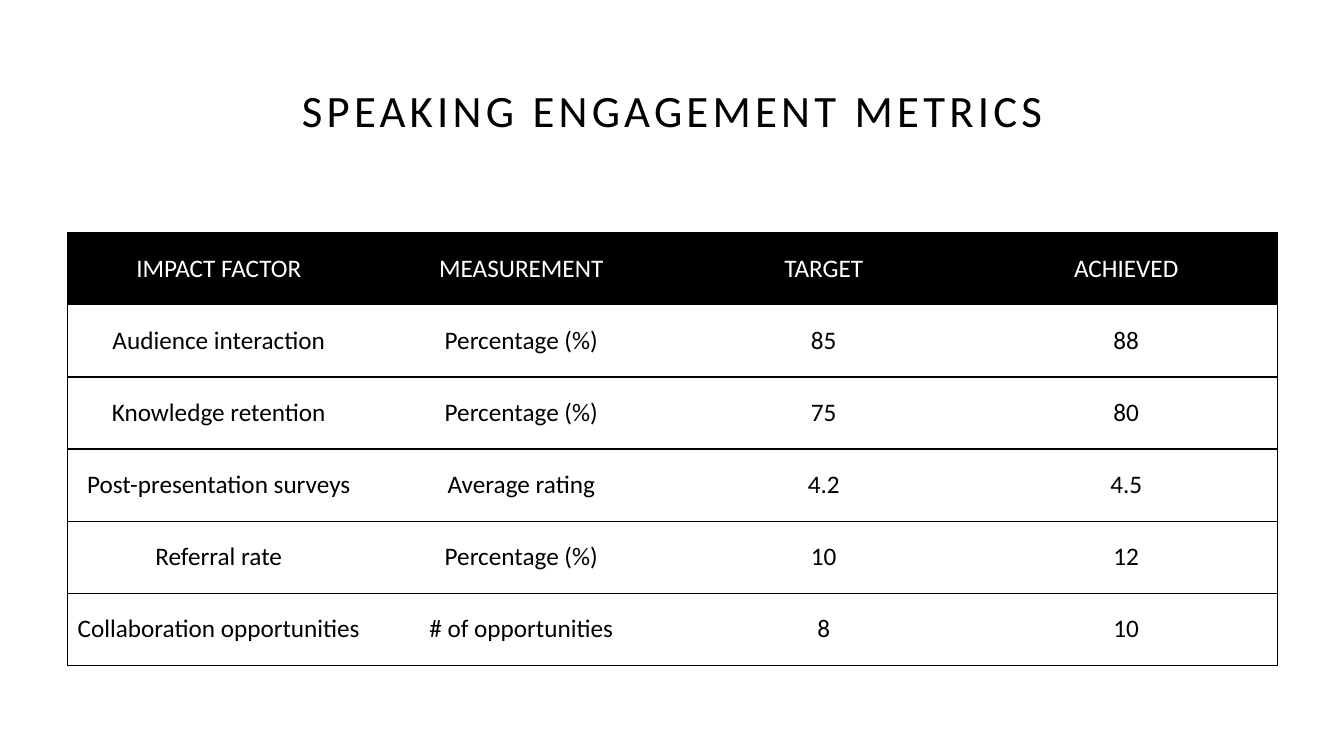
"""Build the speaking engagement metrics slide."""
from lxml.etree import SubElement
from pptx import Presentation
from pptx.dml.color import RGBColor
from pptx.enum.text import MSO_ANCHOR as Anchor, PP_ALIGN as Align
from pptx.oxml.ns import qn
from pptx.util import Inches, Pt

BLACK = RGBColor(0, 0, 0)
WHITE = RGBColor(255, 255, 255)
FONT = "Calibri"
ROWS = [
    ("IMPACT FACTOR", "MEASUREMENT", "TARGET", "ACHIEVED"),
    ("Audience interaction", "Percentage (%)", "85", "88"),
    ("Knowledge retention", "Percentage (%)", "75", "80"),
    ("Post-presentation surveys", "Average rating", "4.2", "4.5"),
    ("Referral rate", "Percentage (%)", "10", "12"),
    ("Collaboration opportunities", "# of opportunities", "8", "10"),
]


def write(frame, text, size, color):
    para = frame.paragraphs[0]
    para.alignment = Align.CENTER
    run = para.add_run()
    run.text = text
    font = run.font
    font.name, font.size, font.bold = FONT, Pt(size), False
    font.color.rgb = color
    return para, run


def edge(cell, side, shown):
    line = SubElement(cell._tc.get_or_add_tcPr(), qn(f"a:ln{side}"), w=str(Pt(1)))
    if shown:
        fill = SubElement(line, qn("a:solidFill"))
        SubElement(fill, qn("a:srgbClr"), val=str(BLACK))
    else:
        SubElement(line, qn("a:noFill"))


deck = Presentation()
deck.slide_width, deck.slide_height = Inches(13.33), Inches(7.5)
slide = deck.slides.add_slide(deck.slide_layouts[5])
slide.background.fill.solid()
slide.background.fill.fore_color.rgb = WHITE

title = slide.shapes.title
title.left, title.top = Inches(0.92), Inches(0.4)
title.width, title.height = Inches(11.5), Inches(1.45)
title.text_frame.word_wrap = True
title.text_frame.vertical_anchor = Anchor.MIDDLE
para, run = write(title.text_frame, "SPEAKING ENGAGEMENT METRICS", 32, BLACK)
para.line_spacing = 0.9
run._r.get_or_add_rPr().set("spc", "300")

last = len(ROWS[0]) - 1
table = slide.shapes.add_table(
    len(ROWS), len(ROWS[0]), Inches(0.67), Inches(2.31), Inches(12), Inches(4.29)
).table
table.horz_banding = False
for r, row in enumerate(ROWS):
    for c, text in enumerate(row):
        cell = table.cell(r, c)
        cell.vertical_anchor = Anchor.MIDDLE
        for side, shown in (("L", c == 0), ("R", c == last), ("T", True), ("B", True)):
            edge(cell, side, shown)
        cell.fill.solid()
        cell.fill.fore_color.rgb = WHITE if r else BLACK
        write(cell.text_frame, text, 18, BLACK if r else WHITE)

deck.save("out.pptx")
